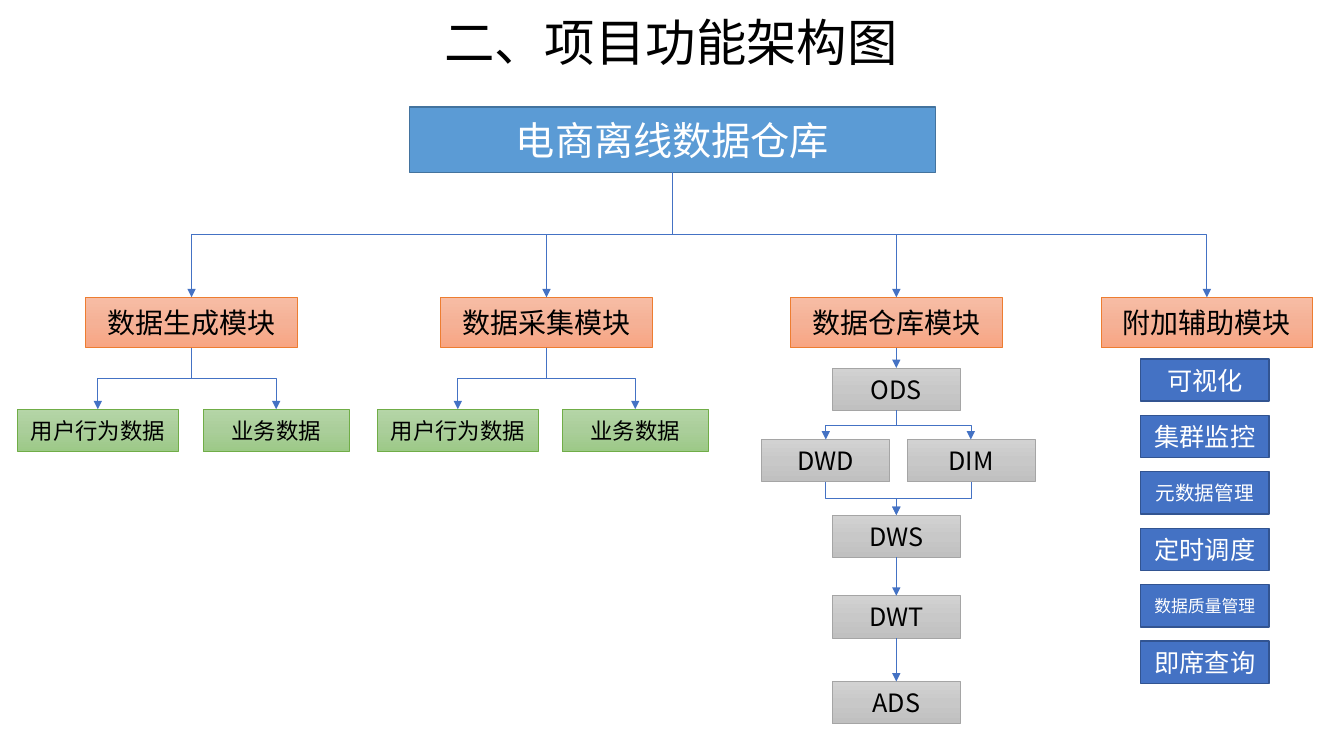
from copy import deepcopy

from lxml.etree import SubElement
from pptx import Presentation
from pptx.dml.color import RGBColor
from pptx.enum.shapes import MSO_CONNECTOR, MSO_SHAPE
from pptx.enum.text import MSO_ANCHOR, PP_ALIGN
from pptx.oxml.ns import qn
from pptx.util import Inches, Pt

FONT = "Noto Sans CJK SC"
BLACK = RGBColor(0x00, 0x00, 0x00)
WHITE = RGBColor(0xFF, 0xFF, 0xFF)
SKY = RGBColor(0x5B, 0x9B, 0xD5)
STEEL = RGBColor(0x43, 0x73, 0x9E)
BLUE = RGBColor(0x44, 0x72, 0xC4)
NAVY = RGBColor(0x32, 0x54, 0x91)
ORANGE = RGBColor(0xED, 0x7D, 0x31)
GREEN = RGBColor(0x70, 0xAD, 0x47)
GRAY = RGBColor(0xA5, 0xA5, 0xA5)
PEACH = [RGBColor(0xF7, 0xBD, 0xA5), RGBColor(0xF5, 0xB1, 0x96), RGBColor(0xF8, 0xA5, 0x82)]
SAGE = [RGBColor(0xB5, 0xD5, 0xA7), RGBColor(0xAA, 0xCE, 0x9A), RGBColor(0x9C, 0xC9, 0x87)]
SILVER = [RGBColor(0xD2, 0xD2, 0xD2), RGBColor(0xC8, 0xC8, 0xC8), RGBColor(0xC0, 0xC0, 0xC0)]

# Each style: fill colours, line colour, line width, text colour, height
STYLES = {
    "root": ([SKY], STEEL, 1, WHITE, 0.65),
    "module": (PEACH, ORANGE, 0.5, BLACK, 0.5),
    "source": (SAGE, GREEN, 0.5, BLACK, 0.42),
    "layer": (SILVER, GRAY, 0.5, BLACK, 0.42),
    "tool": ([BLUE], NAVY, 1, WHITE, 0.42),
}

deck = Presentation()
deck.slide_width, deck.slide_height = Inches(13.33), Inches(7.5)
slide = deck.slides.add_slide(deck.slide_layouts[5])


def write(shape, text, size, color):
    frame = shape.text_frame
    frame.text = text
    frame.word_wrap = False
    frame.vertical_anchor = MSO_ANCHOR.MIDDLE
    line = frame.paragraphs[0]
    line.alignment = PP_ALIGN.CENTER
    font = line.runs[0].font
    for key, value in {"name": FONT, "size": Pt(size)}.items():
        setattr(font, key, value)
    font.color.rgb = color
    SubElement(line.runs[0]._r.get_or_add_rPr(), qn("a:ea"), typeface=FONT)


def add_box(style, text, mid, top, width, size):
    """Add a box centred on mid."""
    colors, edge, weight, ink, height = STYLES[style]
    box = slide.shapes.add_shape(MSO_SHAPE.RECTANGLE, Inches(mid - width / 2), Inches(top),
                                 Inches(width), Inches(height))
    box.shadow.inherit = False
    box.line.color.rgb = edge
    box.line.width = Pt(weight)
    if len(colors) == 1:
        box.fill.solid()
        box.fill.fore_color.rgb = colors[0]
    else:
        box.fill.gradient()
        box.fill.gradient_angle = 270
        first = box._element.spPr.find(".//" + qn("a:gs"))
        first.addnext(deepcopy(first))
        for i, stop in enumerate(box.fill.gradient_stops):
            stop.position = i / 2
            stop.color.rgb = colors[i]
    write(box, text, size, ink)
    return box


title = slide.shapes.title
place = {"left": 4.28, "top": 0.06, "width": 4.75, "height": 0.71}
for key, value in place.items():
    setattr(title, key, Inches(value))
write(title, "二、项目功能架构图", 36, BLACK)

root = add_box("root", "电商离线数据仓库", 6.67, 1.06, 5.22, 28)
names = {"数据生成模块": 1.9, "数据采集模块": 5.42, "数据仓库模块": 8.89, "附加辅助模块": 11.97}
modules = [add_box("module", name, mid, 2.95, 2.1, 20) for name, mid in names.items()]
links = [(root, module) for module in modules]

for module, left, right in [(modules[0], 0.97, 2.74), (modules[1], 4.54, 6.3)]:
    links.append((module, add_box("source", "用户行为数据", left, 4.06, 1.59, 16)))
    links.append((module, add_box("source", "业务数据", right, 4.06, 1.45, 16)))

layers = {
    "ODS": (8.89, 3.65),
    "DWD": (8.19, 4.36),
    "DIM": (9.63, 4.36),
    "DWS": (8.89, 5.11),
    "DWT": (8.89, 5.91),
    "ADS": (8.89, 6.76),
}
boxes = {name: add_box("layer", name, mid, top, 1.27, 18) for name, (mid, top) in layers.items()}
links.append((modules[2], boxes["ODS"]))
for pair in ["ODS DWD", "ODS DIM", "DWD DWS", "DIM DWS", "DWS DWT", "DWT ADS"]:
    start, end = pair.split()
    links.append((boxes[start], boxes[end]))

tools = {"可视化": 18, "集群监控": 18, "元数据管理": 14, "定时调度": 18, "数据质量管理": 12, "即席查询": 18}
for i, (name, size) in enumerate(tools.items()):
    add_box("tool", name, 11.95, 3.56 + 0.56 * i, 1.27, size)

for start, end in links:
    x1, y1 = start.left + start.width // 2, start.top + start.height
    x2, y2 = end.left + end.width // 2, end.top
    bent = abs(x2 - x1) > Inches(0.01)
    kind = MSO_CONNECTOR.ELBOW if bent else MSO_CONNECTOR.STRAIGHT
    wire = slide.shapes.add_connector(kind, x1, y1, x2, y2)
    wire.begin_connect(start, 2)
    wire.end_connect(end, 0)
    wire.line.color.rgb = BLUE
    wire.line.width = Pt(0.5)
    SubElement(wire.line._get_or_add_ln(), qn("a:tailEnd"), type="triangle")
    props = wire._element.spPr
    SubElement(props, qn("a:effectLst"))
    if bent:
        # An elbow leaves sideways, so a quarter turn makes it leave downwards
        wide, high = y2 - y1, abs(x2 - x1)
        wire.left, wire.top = (x1 + x2 - wide) // 2, (y1 + y2 - high) // 2
        wire.width, wire.height = wide, high
        right = x2 > x1
        turn = {"rot": "16200000" if right else "5400000", "flipH": str(int(right)), "flipV": "0"}
        for key, value in turn.items():
            props.find(qn("a:xfrm")).set(key, value)

deck.save("out.pptx")
